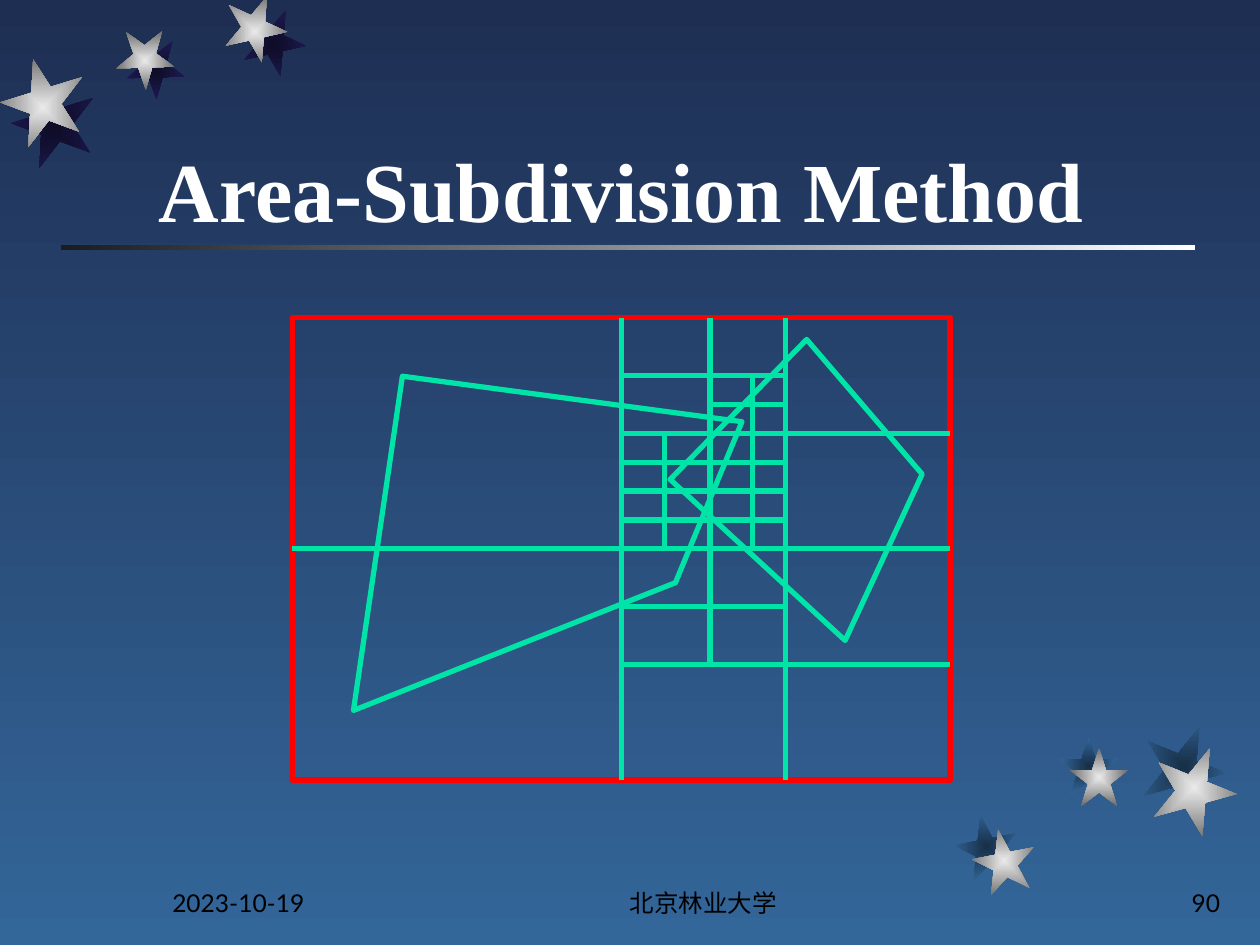
from lxml import etree
from pptx import Presentation
from pptx.dml.color import RGBColor
from pptx.enum import shapes, text
from pptx.oxml import ns
from pptx.util import Pt

WHITE = RGBColor(0xFF, 0xFF, 0xFF)
BLACK = RGBColor(0, 0, 0)
RED = RGBColor(0xFF, 0, 0)
GREEN = RGBColor(0x00, 0xE4, 0xA8)
CHARCOAL = RGBColor(0x1C, 0x1C, 0x1C)
NIGHT = RGBColor(0x1E, 0x2E, 0x53)
BLUE = RGBColor(0x33, 0x66, 0x99)
SILVER = (RGBColor(0xEA, 0xEA, 0xEA), RGBColor(0x6C, 0x6C, 0x6C))
DARK_SHADOW = (RGBColor(0x0E, 0x0C, 0x26), RGBColor(0x1E, 0x1A, 0x53))
BLUE_SHADOW = (RGBColor(0x18, 0x2F, 0x47), BLUE)

TITLE = "Area-Subdivision Method"
FOOTERS = [
    ("2023-10-19", 91.4, 150, text.PP_ALIGN.LEFT),
    ("北京林业大学", 288, 228, text.PP_ALIGN.CENTER),
    ("90", 554.4, 150, text.PP_ALIGN.RIGHT),
]

# left, top, size, rotation, shadow offset, shadow colours
STARS = [
    (127.6, 0, 36, 167.3, (10.7, 8), DARK_SHADOW),
    (66.2, 18, 33.3, 178.3, (6, 5.6), DARK_SHADOW),
    (0.5, 37.5, 48, 200.3, (6.3, 11.9), DARK_SHADOW),
    (555.8, 473.8, 36, 349, (-10.1, -8), BLUE_SHADOW),
    (611.4, 427.4, 33.3, 0, (-6, -6.3), BLUE_SHADOW),
    (658.3, 426, 48, 22, (-6, -12), BLUE_SHADOW),
]

FRAME = (167, 181.5, 376, 264.3)
LEFT, TOP, WIDTH, HEIGHT = FRAME
MIDDLE, INNER, RIGHT = 0.5, 0.75, 1
SPLIT, SPLIT_LEFT, SPLIT_RIGHT = 0.635, 0.566, 0.7
# row in sixteenths of the height, first and last column
ROW_LINES = [
    (8, 0, RIGHT), (4, MIDDLE, RIGHT), (12, MIDDLE, RIGHT),
    (2, MIDDLE, INNER), (6, MIDDLE, INNER), (10, MIDDLE, INNER),
    (5, MIDDLE, INNER), (7, MIDDLE, INNER), (3, SPLIT, INNER),
]
# column, first and last row in sixteenths
COLUMN_LINES = [
    (MIDDLE, 0, 16), (INNER, 0, 16), (SPLIT, 0, 12),
    (SPLIT_RIGHT, 2, 8), (SPLIT_LEFT, 4, 8),
]
POLYGONS = [
    [(424.1, 241.2), (385.9, 333.4), (201.6, 406.1), (229.7, 214.6)],
    [(460.8, 194.4), (383, 274.3), (483.1, 366.5), (527, 270.7)],
]


def shade(fill, colours, angle=0):
    fill.gradient()
    fill.gradient_angle = angle
    for stop, colour, position in zip(fill.gradient_stops, colours, (0, 1)):
        stop.color.rgb = colour
        stop.position = position


def add_shape(page, kind, left, top, width, height):
    shape = page.shapes.add_shape(kind, Pt(left), Pt(top), Pt(width), Pt(height))
    shape.shadow.inherit = False
    return shape


def add_star(page, left, top, size, rotation, colours):
    star = add_shape(page, shapes.MSO_SHAPE.STAR_5_POINT, left, top, size, size)
    star.rotation = rotation
    star.line.fill.background()
    shade(star.fill, colours)
    linear = star.element.spPr.find(".//" + ns.qn("a:lin"))
    centre = etree.Element(ns.qn("a:path"), {"path": "rect"})
    sides = {side: "50000" for side in "ltrb"}
    etree.SubElement(centre, ns.qn("a:fillToRect"), sides)
    linear.getparent().replace(linear, centre)


def outline(shape, colour):
    shape.line.color.rgb = colour
    shape.line.width = Pt(3)


def add_line(page, start, end):
    ends = [Pt(LEFT + WIDTH * column) if axis == 0 else Pt(TOP + HEIGHT * column / 16)
            for point in (start, end) for axis, column in enumerate(point)]
    line = page.shapes.add_connector(shapes.MSO_CONNECTOR.STRAIGHT, *ends)
    outline(line, GREEN)
    etree.SubElement(line.element.spPr, ns.qn("a:effectLst"))


def write(frame, words, align, font_name, size, colour, bold=False):
    frame.word_wrap = True
    frame.auto_size = text.MSO_AUTO_SIZE.NONE
    frame.vertical_anchor = text.MSO_ANCHOR.BOTTOM
    para = frame.paragraphs[0]
    para.text = words
    para.alignment = align
    para.font.name = font_name
    para.font.size = Pt(size)
    para.font.bold = bold
    para.font.color.rgb = colour


def main():
    deck = Presentation()
    deck.slide_width, deck.slide_height = Pt(720), Pt(540)
    page = deck.slides.add_slide(deck.slide_layouts[5])
    shade(page.background.fill, (NIGHT, BLUE), 270)

    title = page.shapes.title
    title.left, title.top, title.width, title.height = Pt(83.5), Pt(25.2), Pt(565.2), Pt(115.2)
    write(title.text_frame, TITLE, text.PP_ALIGN.LEFT, "Times New Roman", 48, WHITE, True)

    rule = add_shape(page, shapes.MSO_SHAPE.RECTANGLE, 34.8, 140.2, 648, 2.4)
    rule.line.fill.background()
    shade(rule.fill, (CHARCOAL, WHITE))

    for left, top, size, rotation, (right, down), colours in STARS:
        add_star(page, left + right, top + down, size, rotation, colours)
    for left, top, size, rotation, *_ in STARS:
        add_star(page, left, top, size, rotation, SILVER)

    for words, left, width, align in FOOTERS:
        box = page.shapes.add_textbox(Pt(left), Pt(492), Pt(width), Pt(36))
        write(box.text_frame, words, align, "Lato", 14, BLACK)

    window = add_shape(page, shapes.MSO_SHAPE.RECTANGLE, *FRAME)
    window.fill.background()
    outline(window, RED)

    for row, first, last in ROW_LINES:
        add_line(page, (first, row), (last, row))
    for column, first, last in COLUMN_LINES:
        add_line(page, (column, first), (column, last))

    for corners in POLYGONS:
        builder = page.shapes.build_freeform(*corners[0], scale=Pt(1))
        builder.add_line_segments(corners[1:], close=True)
        polygon = builder.convert_to_shape()
        polygon.shadow.inherit = False
        polygon.fill.background()
        outline(polygon, GREEN)

    deck.save("out.pptx")


if __name__ == "__main__":
    main()
